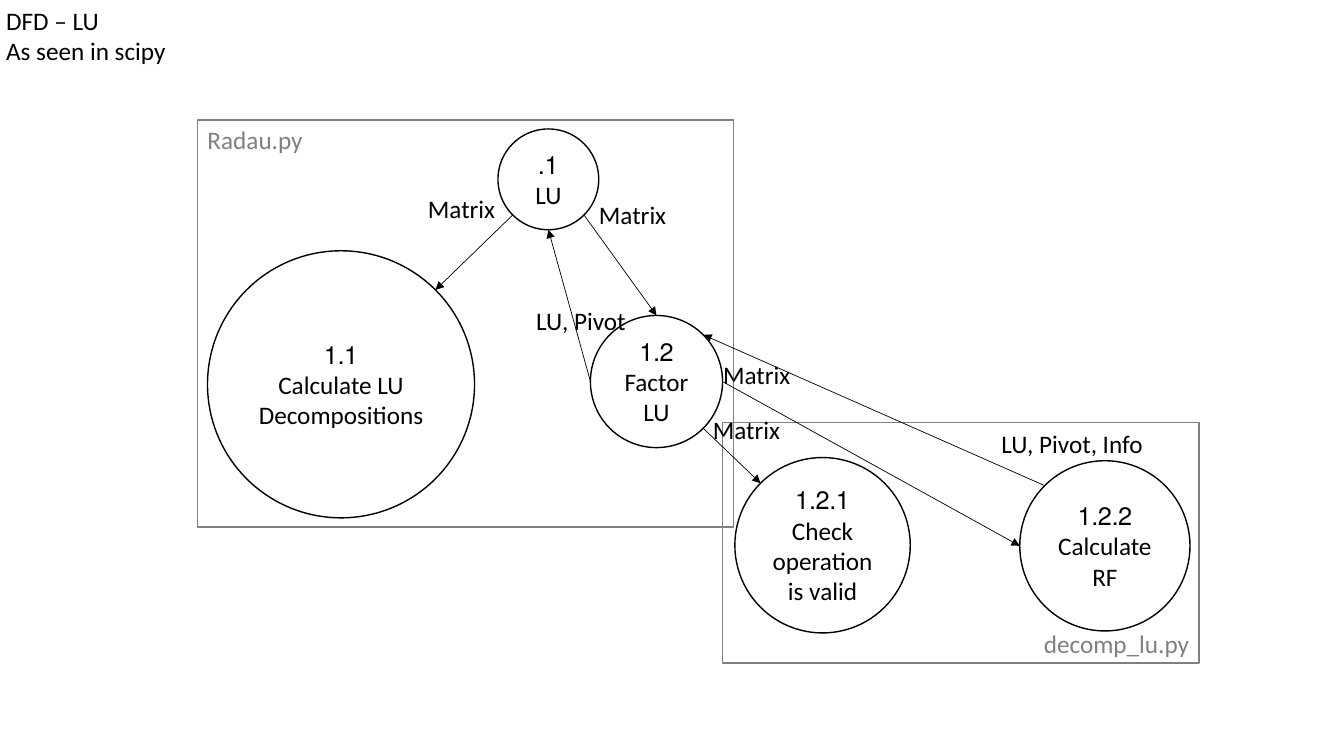
import math

import pptx
import pptx.dml.color
import pptx.enum.shapes
import pptx.enum.text
import pptx.oxml
import pptx.oxml.ns
import pptx.util

Cm = pptx.util.Cm
Pt = pptx.util.Pt
ALIGN = pptx.enum.text.PP_ALIGN
ANCHOR = pptx.enum.text.MSO_ANCHOR
SHAPE = pptx.enum.shapes.MSO_SHAPE

BLACK, GREY = "000000", "808080"
HEADING = ["DFD – LU", "As seen in scipy"]

# File name, (left, top, width, height) in cm, alignment, anchor
FILES = [
    ("decomp_lu.py", (18.21, 10.64, 12.01, 6.07), ALIGN.RIGHT, ANCHOR.BOTTOM),
    ("Radau.py", (4.98, 3.02, 13.51, 10.26), ALIGN.LEFT, ANCHOR.TOP),
]
# Process: number, caption, left, top, diameter in cm
PROCESSES = {
    "lu": ("1.", "LU", 12.55, 3.25, 2.54),
    "decompose": ("1.1", "Calculate LU Decompositions", 5.23, 6.32, 6.73),
    "factor": ("1.2", "Factor LU", 14.88, 7.95, 3.33),
    "check": ("1.2.1", "Check operation is valid", 18.52, 11.53, 4.42),
    "calculate": ("1.2.2", "Calculate RF", 25.7, 11.61, 4.29),
}
# Flow: source, side, target, side, label, label left, top, width in cm
FLOWS = [
    ("lu", "SW", "decompose", "NE", "Matrix", 10.52, 4.75, 2.21),
    ("lu", "SE", "factor", "N", "Matrix", 14.83, 4.9, 2.21),
    ("factor", "W", "lu", "S", "LU, Pivot", 13.23, 7.57, 2.79),
    ("factor", "SE", "check", "NW", "Matrix", 17.7, 10.31, 2.21),
    ("factor", "E", "calculate", "W", "Matrix", 17.96, 8.94, 2.21),
    ("calculate", "NW", "factor", "NE", "LU, Pivot, Info", 24.94, 10.67, 4.11),
]
SIDES = ["E", "SE", "S", "SW", "W", "NW", "N", "NE"]
LABEL_HEIGHT = 1.02


def color(value):
    """Turn a hex string into a colour."""
    return pptx.dml.color.RGBColor.from_string(value)


def write(box, lines, align, anchor, ink=BLACK, wrap=True, rtl=False):
    """Write one paragraph per line into a box."""
    frame = box.text_frame
    frame.auto_size = pptx.enum.text.MSO_AUTO_SIZE.NONE
    frame.word_wrap = wrap
    frame.vertical_anchor = anchor
    for index, line in enumerate(lines):
        para = frame.add_paragraph() if index else frame.paragraphs[0]
        para.alignment = align
        if rtl:
            para._p.get_or_add_pPr().set("rtl", "1")
        span = para.add_run()
        span.text = line
        span.font.name = "Calibri"
        span.font.size = Pt(18)
        span.font.color.rgb = color(ink)


def add_outline(page, kind, place, ink):
    """Add an unfilled shape with a thin outline."""
    box = page.shapes.add_shape(kind, *map(Cm, place))
    box.shadow.inherit = False
    box.fill.background()
    box.line.color.rgb = color(ink)
    box.line.width = Pt(1)
    return box


def rim(process, side):
    """Find the point on a process circle that faces a compass side."""
    left, top, size = PROCESSES[process][2:]
    angle = SIDES.index(side) * math.pi / 4
    radius = size / 2
    return (Cm(left + radius + radius * math.cos(angle)),
            Cm(top + radius + radius * math.sin(angle)))


def add_arrow(page, start, end):
    """Add a straight arrow between two points."""
    straight = pptx.enum.shapes.MSO_CONNECTOR.STRAIGHT
    arrow = page.shapes.add_connector(straight, *start, *end)
    arrow.line.color.rgb = color(BLACK)
    arrow.line.width = Pt(0.5)
    space = pptx.oxml.ns.nsdecls("a")
    line = arrow.line._get_or_add_ln()
    line.append(pptx.oxml.parse_xml(f'<a:tailEnd {space} type="triangle"/>'))
    line.addnext(pptx.oxml.parse_xml(f"<a:effectLst {space}/>"))


deck = pptx.Presentation()
deck.slide_width, deck.slide_height = Cm(33.87), Cm(19.05)
page = deck.slides.add_slide(deck.slide_layouts[5])

title = page.shapes.title
title.left, title.top, title.width, title.height = map(Cm, (-0.1, 0, 4.57, 1.8))
write(title, HEADING, ALIGN.LEFT, ANCHOR.TOP, wrap=False)

for name, place, align, anchor in FILES:
    box = add_outline(page, SHAPE.RECTANGLE, place, GREY)
    write(box, [name], align, anchor, ink=GREY)

for number, caption, left, top, size in PROCESSES.values():
    circle = add_outline(page, SHAPE.OVAL, (left, top, size, size), BLACK)
    write(circle, [number, caption], ALIGN.CENTER, ANCHOR.MIDDLE, rtl=True)

for source, leave, target, enter, label, left, top, width in FLOWS:
    add_arrow(page, rim(source, leave), rim(target, enter))
    box = page.shapes.add_textbox(*map(Cm, (left, top, width, LABEL_HEIGHT)))
    write(box, [label], ALIGN.RIGHT, ANCHOR.TOP, wrap=False, rtl=True)

deck.save("out.pptx")
